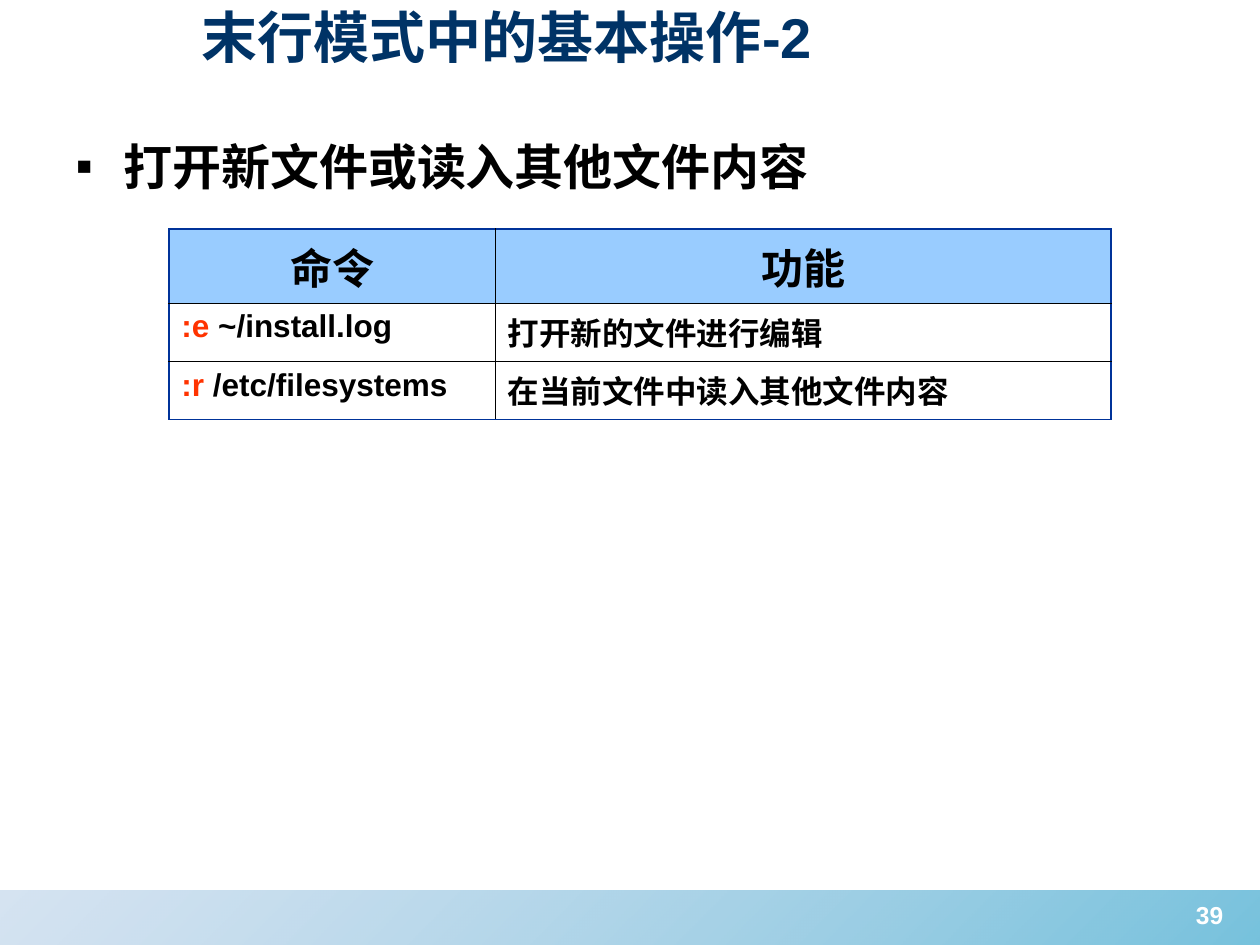
from typing import NamedTuple

from lxml.etree import SubElement
from pptx import Presentation
from pptx.dml.color import RGBColor
from pptx.enum.shapes import MSO_SHAPE
from pptx.enum.text import MSO_ANCHOR, MSO_AUTO_SIZE, PP_ALIGN
from pptx.oxml import parse_xml
from pptx.oxml.ns import nsdecls, qn
from pptx.util import Inches, Pt

BLACK = RGBColor(0x00, 0x00, 0x00)
WHITE = RGBColor(0xFF, 0xFF, 0xFF)
NAVY = RGBColor(0x00, 0x33, 0x66)
FRAME_BLUE = RGBColor(0x00, 0x33, 0x99)
HEADER_BLUE = RGBColor(0x99, 0xCC, 0xFF)
COMMAND_RED = RGBColor(0xFF, 0x33, 0x00)
BAND_TEAL = RGBColor(0x1C, 0x99, 0xC6)
BAND_BLUE = RGBColor(0x88, 0xB0, 0xD8)


class Command(NamedTuple):
    key: str
    argument: str
    purpose: str


HEADINGS = ("命令", "功能")
COMMANDS = (
    Command(":e", " ~/install.log", "打开新的文件进行编辑"),
    Command(":r", " /etc/filesystems", "在当前文件中读入其他文件内容"),
)
COLUMN_WIDTHS = (2.59, 4.89)
ROW_HEIGHTS = (0.5, 0.4, 0.4)


def add_span(para, text: str, *, size: float, color: RGBColor = BLACK):
    span = para.add_run()
    span.text = text
    span.font.name = "Arial"
    span.font.size = Pt(size)
    span.font.bold = True
    span.font.color.rgb = color
    return span


def place(shape, left: float, top: float, width: float, height: float) -> None:
    shape.left, shape.top = Inches(left), Inches(top)
    shape.width, shape.height = Inches(width), Inches(height)


def add_footer_band(page) -> None:
    band = page.shapes.add_shape(
        MSO_SHAPE.RECTANGLE, Inches(0), Inches(7.07), Inches(10), Inches(0.43))
    band.shadow.inherit = False
    band.line.fill.background()
    band.fill.gradient()
    band.fill.gradient_angle = 135
    stops = zip(band.fill.gradient_stops, (BAND_TEAL, BAND_BLUE))
    for stop, color in stops:
        stop.color.rgb = color
    for color_node, opacity in zip(band._element.spPr.iter(qn("a:srgbClr")), (60, 35)):
        SubElement(color_node, qn("a:alpha"), val=str(opacity * 1000))


def add_title(page) -> None:
    title = page.shapes.title
    place(title, 1.5, -0.03, 8.07, 0.64)
    title.text_frame.auto_size = MSO_AUTO_SIZE.NONE
    title.text_frame.vertical_anchor = MSO_ANCHOR.MIDDLE
    para = title.text_frame.paragraphs[0]
    para.alignment = PP_ALIGN.LEFT
    add_span(para, "末行模式中的基本操作-2", size=32, color=NAVY)


def add_topic(page) -> None:
    body = page.placeholders[1]
    place(body, 0.5, 1.03, 9, 5.34)
    body.text_frame.auto_size = MSO_AUTO_SIZE.NONE
    para = body.text_frame.paragraphs[0]
    properties = para._p.get_or_add_pPr()
    properties.set("marL", str(Inches(0.38)))
    properties.set("indent", str(Inches(-0.38)))
    bullet_color = SubElement(properties, qn("a:buClr"))
    SubElement(bullet_color, qn("a:srgbClr"), val=str(BLACK))
    SubElement(properties, qn("a:buFont"), typeface="Arial")
    SubElement(properties, qn("a:buChar"), char="▪")
    para.space_before = Pt(0)
    span = add_span(para, "打开新文件或读入其他文件内容", size=28)
    span.font.fill._xPr.find(qn("a:solidFill")).addnext(parse_xml(
        f'<a:effectLst {nsdecls("a")}><a:outerShdw blurRad="38100" dist="38100" '
        'dir="2700000"><a:srgbClr val="C0C0C0"/></a:outerShdw></a:effectLst>'))


def set_borders(cell, outer_sides: set[str]) -> None:
    """Draw the table frame on the outer sides and thin black lines elsewhere."""
    properties = cell._tc.get_or_add_tcPr()
    for side in "LRTB":
        outer = side in outer_sides
        line = SubElement(properties, qn(f"a:ln{side}"),
                          w=str(Pt(1.08 if outer else 0.45)))
        fill = SubElement(line, qn("a:solidFill"))
        SubElement(fill, qn("a:srgbClr"), val=str(FRAME_BLUE if outer else BLACK))


def add_command_table(page) -> None:
    table = page.shapes.add_table(
        len(ROW_HEIGHTS), len(COLUMN_WIDTHS), Inches(1.34), Inches(1.82),
        Inches(sum(COLUMN_WIDTHS)), Inches(sum(ROW_HEIGHTS))).table
    table.first_row = table.horz_banding = False
    for column, width in zip(table.columns, COLUMN_WIDTHS):
        column.width = Inches(width)
    for row, height in zip(table.rows, ROW_HEIGHTS):
        row.height = Inches(height)

    last_row = len(ROW_HEIGHTS) - 1
    for row_index, row in enumerate(table.rows):
        for column_index, cell in enumerate(row.cells):
            outer_sides = {"R" if column_index else "L"}
            if row_index == 0:
                outer_sides.add("T")
            if row_index == last_row:
                outer_sides.add("B")
            set_borders(cell, outer_sides)
            if row_index == 0:
                cell.fill.solid()
                cell.fill.fore_color.rgb = HEADER_BLUE
            else:
                cell.fill.background()

    for column_index, heading in enumerate(HEADINGS):
        para = table.cell(0, column_index).text_frame.paragraphs[0]
        para.alignment = PP_ALIGN.CENTER
        add_span(para, heading, size=24)
    for row_index, command in enumerate(COMMANDS, start=1):
        para = table.cell(row_index, 0).text_frame.paragraphs[0]
        add_span(para, command.key, size=18, color=COMMAND_RED)
        add_span(para, command.argument, size=18)
        para = table.cell(row_index, 1).text_frame.paragraphs[0]
        add_span(para, command.purpose, size=18)


def add_page_number(page) -> None:
    box = page.shapes.add_textbox(Inches(9.24), Inches(7.09), Inches(0.72), Inches(0.52))
    box.text_frame.word_wrap = True
    para = box.text_frame.paragraphs[0]
    para.alignment = PP_ALIGN.CENTER
    add_span(para, "39", size=14, color=WHITE)


def main() -> None:
    deck = Presentation()
    deck.slide_width, deck.slide_height = Inches(10), Inches(7.5)
    page = deck.slides.add_slide(deck.slide_layouts[1])
    add_footer_band(page)
    add_title(page)
    add_topic(page)
    add_command_table(page)
    add_page_number(page)
    deck.save("out.pptx")


if __name__ == "__main__":
    main()
